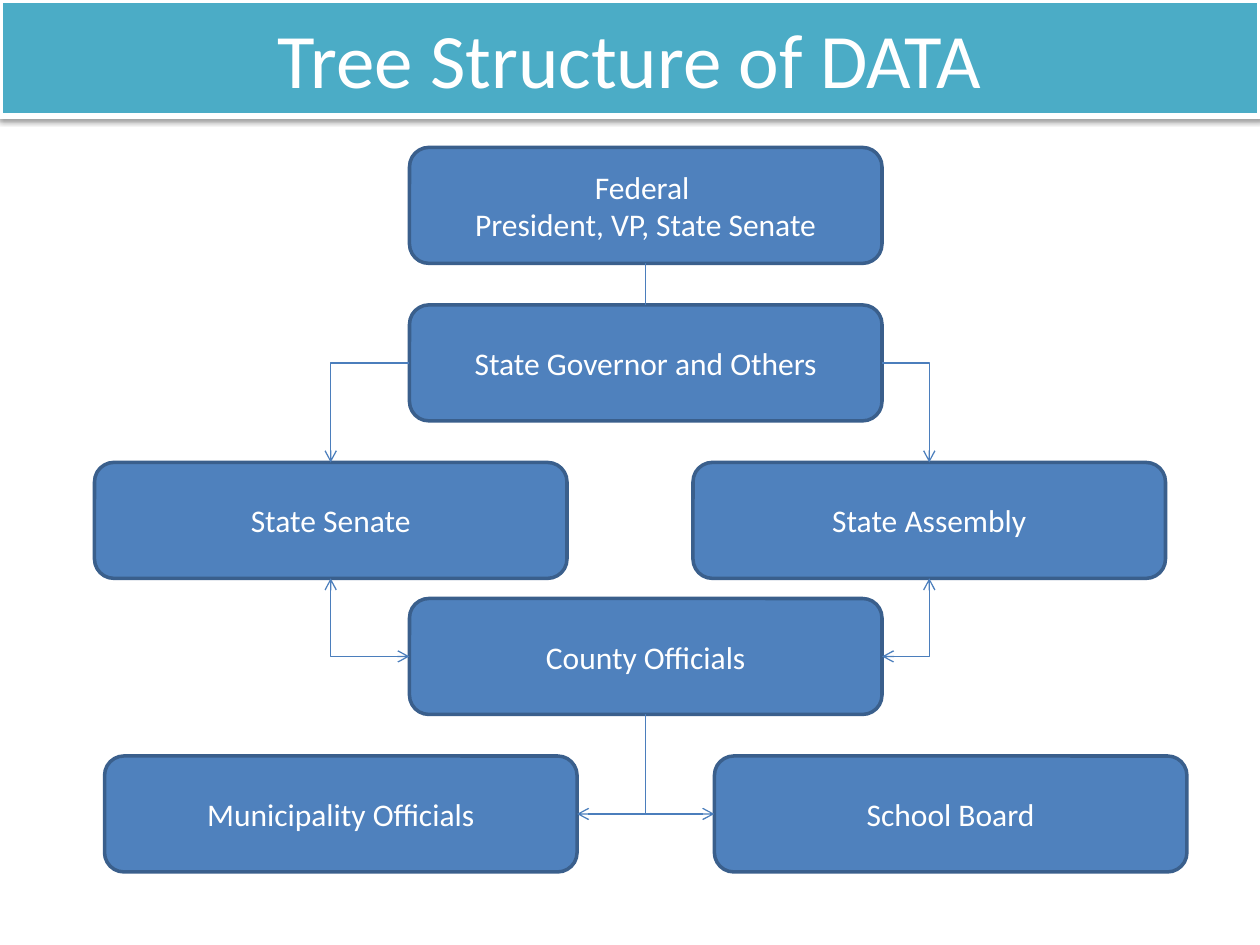
from lxml.etree import SubElement
from pptx import Presentation
from pptx.dml.color import RGBColor
from pptx.enum.shapes import MSO_CONNECTOR, MSO_SHAPE
from pptx.enum.text import MSO_ANCHOR, PP_ALIGN
from pptx.oxml.ns import qn
from pptx.util import Inches, Pt

TITLE = "Tree Structure of DATA"
BOX_WIDTH, BOX_HEIGHT = 3.75, 0.92
# name: (left, top, lines of text)
OFFICES = {
    "federal": (3.25, 1.17, ["Federal ", "President, VP, State Senate"]),
    "governor": (3.25, 2.42, ["State Governor and Others"]),
    "senate": (0.75, 3.67, ["State Senate"]),
    "assembly": (5.5, 3.67, ["State Assembly"]),
    "county": (3.25, 4.75, ["County Officials"]),
    "municipality": (0.83, 6, ["Municipality Officials"]),
    "school": (5.67, 6, ["School Board"]),
}
TOP, LEFT, BOTTOM, RIGHT = range(4)
# start office, its side, end office, its side, ends that carry an arrow
# Bent links leave sideways and arrive vertically.
LINKS = [
    ("federal", BOTTOM, "governor", TOP, []),
    ("governor", LEFT, "senate", TOP, ["tailEnd"]),
    ("governor", RIGHT, "assembly", TOP, ["tailEnd"]),
    ("county", LEFT, "senate", BOTTOM, ["headEnd", "tailEnd"]),
    ("county", RIGHT, "assembly", BOTTOM, ["headEnd", "tailEnd"]),
    ("municipality", RIGHT, "county", BOTTOM, ["headEnd"]),
    ("school", LEFT, "county", BOTTOM, ["headEnd"]),
]


def color(value):
    """Turn a hex string into a colour."""
    return RGBColor.from_string(value)


def write(shape, lines, size=18, font="Calibri", ink="FFFFFF"):
    """Write centred lines of text into a shape."""
    frame = shape.text_frame
    frame.word_wrap = True
    frame.vertical_anchor = MSO_ANCHOR.MIDDLE
    for index, line in enumerate(lines):
        para = frame.add_paragraph() if index else frame.paragraphs[0]
        para.alignment = PP_ALIGN.CENTER
        span = para.add_run()
        span.text = line
        span.font.size = Pt(size)
        span.font.name = font
        span.font.color.rgb = color(ink)


def add_box(page, kind, place, lines, fill, line, weight, **text_format):
    """Add a filled, outlined shape with text."""
    box = page.shapes.add_shape(kind, *map(Inches, place))
    box.shadow.inherit = False
    box.fill.solid()
    box.fill.fore_color.rgb = color(fill)
    box.line.color.rgb = color(line)
    box.line.width = Pt(weight)
    write(box, lines, **text_format)
    return box


def add_shadow(shape):
    """Give a shape a soft shadow straight below it."""
    effects = shape._element.spPr.find(qn("a:effectLst"))
    shadow = SubElement(effects, qn("a:outerShdw"), blurRad=str(Pt(3.1)),
                        dist=str(Pt(1.6)), dir="5400000", rotWithShape="0")
    tint = SubElement(shadow, qn("a:srgbClr"), val="000000")
    SubElement(tint, qn("a:alpha"), val="38000")


def add_link(page, start, start_side, end, end_side, arrows):
    """Join two boxes with a straight line or a one-bend line."""
    bent = start_side in (LEFT, RIGHT)
    kind = MSO_CONNECTOR.ELBOW if bent else MSO_CONNECTOR.STRAIGHT
    link = page.shapes.add_connector(kind, 0, 0, 0, 0)
    link.begin_connect(start, start_side)
    link.end_connect(end, end_side)
    link.line.color.rgb = color("4B7EBC")
    link.line.width = Pt(0.75)
    properties = link._element.spPr
    if bent:
        properties.find(qn("a:prstGeom")).set("prst", "bentConnector2")
    for arrow in arrows:
        SubElement(properties.find(qn("a:ln")), qn("a:" + arrow), type="arrow")
    SubElement(properties, qn("a:effectLst"))


def build():
    """Build the deck and save it."""
    deck = Presentation()
    deck.slide_width, deck.slide_height = Inches(10), Inches(7.5)
    page = deck.slides.add_slide(deck.slide_layouts[6])
    banner = add_box(page, MSO_SHAPE.RECTANGLE, (0, 0, 10, BOX_HEIGHT), [TITLE],
                     "4BACC6", "FFFFFF", 3, size=44)
    add_shadow(banner)
    boxes = {
        name: add_box(page, MSO_SHAPE.ROUNDED_RECTANGLE,
                      (left, top, BOX_WIDTH, BOX_HEIGHT), lines,
                      "4F81BD", "3A5F8C", 2)
        for name, (left, top, lines) in OFFICES.items()
    }
    for start, start_side, end, end_side, arrows in LINKS:
        add_link(page, boxes[start], start_side, boxes[end], end_side, arrows)
    deck.save("out.pptx")


build()
